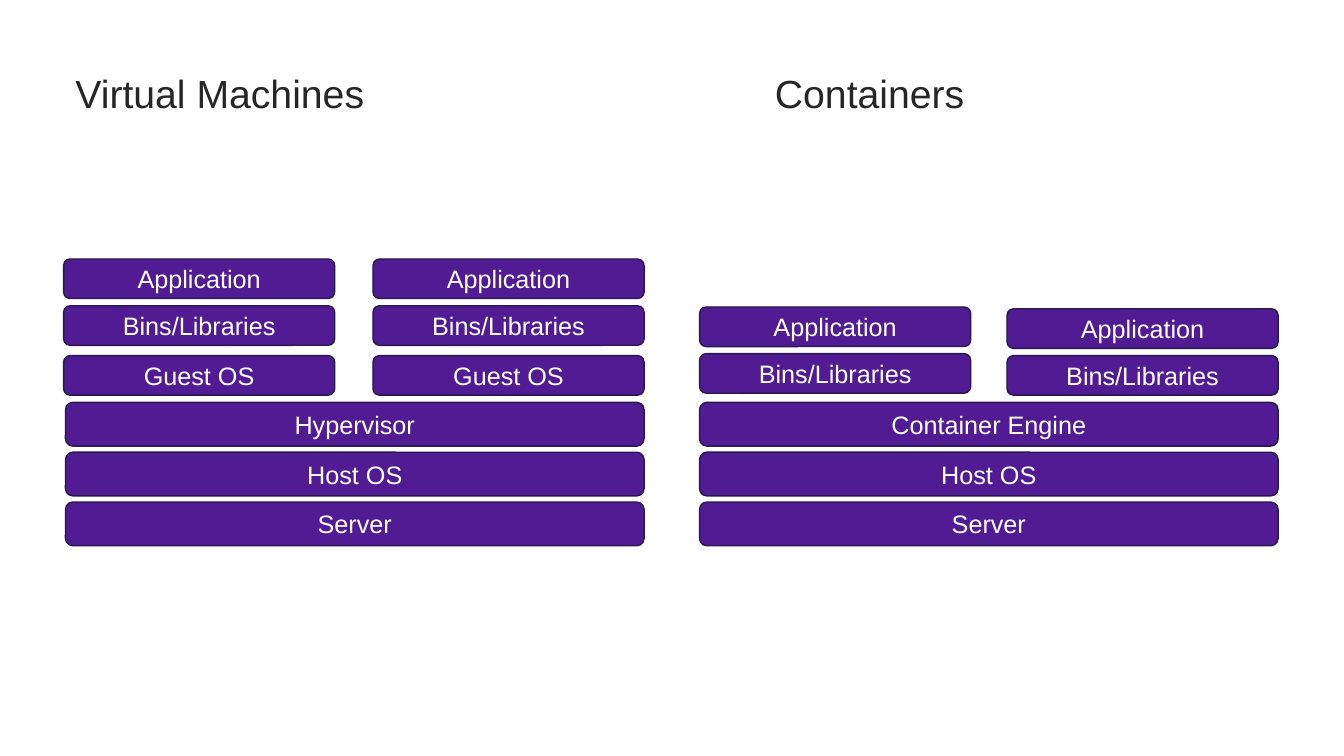
from pptx import Presentation
from pptx.dml.color import RGBColor
from pptx.enum import shapes, text
from pptx.util import Pt

PURPLE = RGBColor(0x51, 0x1B, 0x93)
OUTLINE = RGBColor(0x28, 0x18, 0x4D)
WHITE = RGBColor(0xFF, 0xFF, 0xFF)
DARK = RGBColor(0x26, 0x26, 0x26)

STACK_WIDTH, STACK_TOP = 413.3, 185
COLUMN_WIDTH, COLUMN_HEIGHT = 193.7, 28.3
BASE_TOP, BASE_PITCH, BASE_HEIGHT = 102.4, 35.6, 31.2
TITLE_TOP, TITLE_HEIGHT = 46.8, 43.9


def write(shape, label, size, color, alignment):
    frame = shape.text_frame
    frame.word_wrap = True
    frame.vertical_anchor = text.MSO_ANCHOR.MIDDLE
    paragraph = frame.paragraphs[0]
    paragraph.text = label
    paragraph.alignment = alignment
    for name, value in {"name": "Arial", "size": Pt(size)}.items():
        setattr(paragraph.font, name, value)
    paragraph.font.color.rgb = color
    return paragraph


def add_title(slide, label, left):
    box = slide.shapes.add_textbox(
        Pt(left), Pt(TITLE_TOP), Pt(STACK_WIDTH), Pt(TITLE_HEIGHT))
    paragraph = write(box, label, 28, DARK, text.PP_ALIGN.LEFT)
    paragraph.line_spacing = 0.9


def add_layer(slide, label, left, top, width, height):
    layer = slide.shapes.add_shape(
        shapes.MSO_SHAPE.ROUNDED_RECTANGLE,
        Pt(left), Pt(top), Pt(width), Pt(height))
    layer.shadow.inherit = False
    layer.fill.solid()
    layer.fill.fore_color.rgb = PURPLE
    layer.line.color.rgb = OUTLINE
    layer.line.width = Pt(1)
    write(layer, label, 18, WHITE, text.PP_ALIGN.CENTER)


def add_stack(slide, left, top, base_labels, columns):
    """Draw full-width base layers below columns of (offset, {label: top})."""
    for row, label in enumerate(base_labels):
        add_layer(slide, label, left, top + BASE_TOP + row * BASE_PITCH,
                  STACK_WIDTH, BASE_HEIGHT)
    for offset, layers in columns:
        for label, layer_top in layers.items():
            add_layer(slide, label, left + offset, top + layer_top,
                      COLUMN_WIDTH, COLUMN_HEIGHT)


def main():
    presentation = Presentation()
    presentation.slide_width = Pt(960)
    presentation.slide_height = Pt(540)
    slide = presentation.slides.add_slide(presentation.slide_layouts[6])

    add_title(slide, "Virtual Machines", 46.8)
    add_title(slide, "Containers", 546.5)

    machine = {"Application": 0, "Bins/Libraries": 33.4, "Guest OS": 69}
    add_stack(slide, 46.8, STACK_TOP, ["Hypervisor", "Host OS", "Server"],
              [(-1.4, machine), (219.6, machine)])
    add_stack(slide, 499.7, STACK_TOP,
              ["Container Engine", "Host OS", "Server"],
              [(0, {"Application": 34.3, "Bins/Libraries": 67.6}),
               (219.6, {"Application": 35.6, "Bins/Libraries": 69})])

    presentation.save("out.pptx")


if __name__ == "__main__":
    main()
